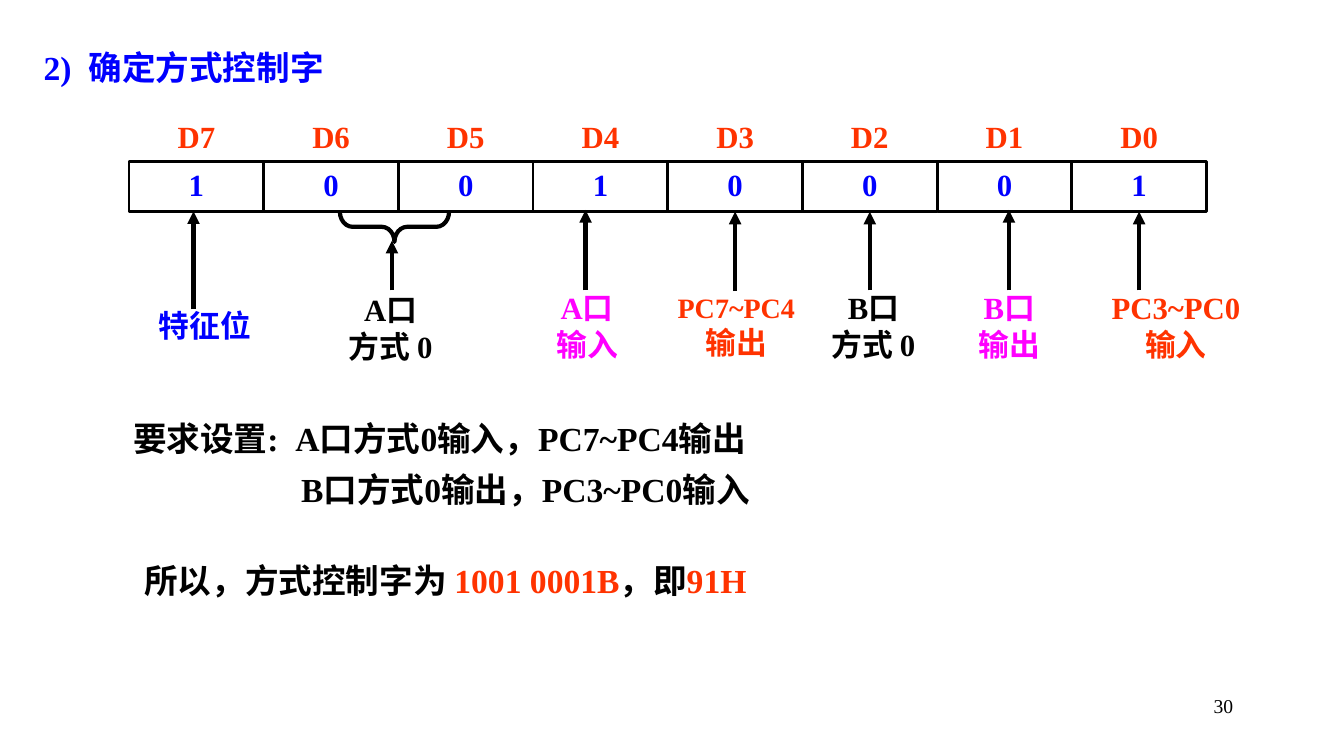
from dataclasses import dataclass

from lxml.etree import SubElement
from pptx import Presentation
from pptx.dml.color import RGBColor as RGB
from pptx.enum.shapes import MSO_CONNECTOR as CONN, MSO_SHAPE as SHAPE
from pptx.enum.text import MSO_ANCHOR as ANCHOR, MSO_AUTO_SIZE as FIT, PP_ALIGN as ALIGN
from pptx.oxml.ns import qn
from pptx.util import Pt


@dataclass(frozen=True)
class Theme:
    font: str = "Times New Roman"
    black: RGB = RGB(0x00, 0x00, 0x00)
    blue: RGB = RGB(0x00, 0x00, 0xFF)
    red: RGB = RGB(0xFF, 0x33, 0x00)
    pink: RGB = RGB(0xFF, 0x00, 0xFF)
    body: int = 24
    label: int = 22
    small: int = 20
    page: int = 14
    cell_line: float = 2
    arrow_line: float = 3


T = Theme()


def write(p, text, size=T.label, color=T.black, bold=True):
    r = p.add_run()
    r.text = text
    r.font.name = T.font
    r.font.size = Pt(size)
    r.font.bold = bold
    r.font.color.rgb = color


class Builder:
    def __init__(self, slide, theme):
        self.s, self.t = slide, theme

    def frame(self, sp, insets):
        tf = sp.text_frame
        tf.word_wrap = True
        tf.auto_size = FIT.NONE
        tf.vertical_anchor = ANCHOR.TOP
        tf.margin_left, tf.margin_top, tf.margin_right, tf.margin_bottom = map(Pt, insets)
        return tf

    def fill_text(self, sp, lines, insets=(7.2, 3.6, 7.2, 3.6), align=ALIGN.LEFT,
                  after=0, indents=(), **fmt):
        """Each line is a list of (text, format overrides) runs."""
        tf = self.frame(sp, insets)
        for i, runs in enumerate(lines):
            p = tf.paragraphs[0] if i == 0 else tf.add_paragraph()
            p.alignment = align
            p.space_before, p.space_after = Pt(0), Pt(after)
            if i < len(indents):
                p._p.get_or_add_pPr().set("marL", str(Pt(indents[i])))
            for text, own in runs:
                write(p, text, **{**fmt, **own})

    def title(self, box, text, **fmt):
        sp = self.s.shapes.title
        sp.left, sp.top, sp.width, sp.height = map(Pt, box)
        self.fill_text(sp, [[(text, {})]], **fmt)

    def text(self, box, lines, **fmt):
        self.fill_text(self.s.shapes.add_textbox(*map(Pt, box)), lines, **fmt)

    def shape(self, kind, box, weight):
        sp = self.s.shapes.add_shape(kind, *map(Pt, box))
        sp.shadow.inherit = False
        sp.fill.background()
        sp.line.color.rgb = self.t.black
        sp.line.width = Pt(weight)
        return sp

    def cell(self, box, bit):
        sp = self.shape(SHAPE.RECTANGLE, box, self.t.cell_line)
        self.fill_text(sp, [[(bit, {})]], insets=(0, 3, 0, 0), align=ALIGN.CENTER,
                       color=self.t.blue)
        return sp

    def brace(self, box):
        sp = self.shape(SHAPE.LEFT_BRACE, box, self.t.arrow_line)
        sp.adjustments[0], sp.adjustments[1] = 0.42, 0.5
        sp.rotation = 270

    def arrow(self, x, bottom, top, target=None):
        c = self.s.shapes.add_connector(CONN.STRAIGHT, Pt(x), Pt(bottom), Pt(x), Pt(top))
        if target is not None:
            c.end_connect(target, 2)
        c.line.color.rgb = self.t.black
        c.line.width = Pt(self.t.arrow_line)
        SubElement(c.line._get_or_add_ln(), qn("a:tailEnd"), type="triangle")
        SubElement(c._element.spPr, qn("a:effectLst"))


def main():
    prs = Presentation()
    prs.slide_width, prs.slide_height = Pt(960), Pt(540)
    b = Builder(prs.slides.add_slide(prs.slide_layouts[5]), T)

    b.title((24, 30, 312, 36), "2)  确定方式控制字", size=T.body, color=T.blue)
    b.text((688, 492, 200, 36), [[("30", {})]], align=ALIGN.RIGHT, size=T.page, bold=False)

    # Register row: bit names above the bit values
    left, top, width, height = 92.2, 115.2, 96.2, 36
    cells = []
    for i, bit in enumerate("10010001"):
        x = left + i * width
        cells.append(b.cell((x, top, width, height), bit))
        b.text((x, 78, width, 44), [[(f"D{7 - i}", {})]], insets=(0, 5.8, 0, 0),
               align=ALIGN.CENTER, color=T.red)

    # Brace under D6 and D5
    b.brace((271, 123, 21.6, 78))

    # Meaning of each field: arrow x (or joined cell), bottom, tip; label centre, top, lines
    pc_small = {"size": T.small}
    fields = [
        (138.2, None, 221, 151, 146.5, 219, T.blue, [("特征位", {})]),
        (280, None, 207.4, 172, 279, 207.4, T.black, [("A口", {}), ("方式 0", {})]),
        (418.3, None, 207.4, 150, 419.4, 206, T.pink, [("A口", {}), ("输入", {})]),
        (None, 4, 208, 151, 526, 207.4, T.red, [("PC7~PC4", pc_small), ("输出", {})]),
        (None, 5, 207.4, 151, 623.9, 206, T.black, [("B口", {}), ("方式 0", {})]),
        (720.7, None, 207.4, 150, 721, 206, T.pink, [("B口", {}), ("输出", {})]),
        (None, 7, 207.4, 151, 840, 206, T.red, [("PC3~PC0", {}), ("输入", {})]),
    ]
    label_w = 127.4
    for x, joined, bottom, tip, centre, label_top, color, lines in fields:
        target = None
        if joined is not None:
            target = cells[joined]
            x = left + (joined + 0.5) * width
        b.arrow(x, bottom, tip, target)
        b.text((centre - label_w / 2, label_top, label_w, 61), [[run] for run in lines],
               insets=(0, 0, 0, 0), align=ALIGN.CENTER, color=color)

    # Requirement and resulting control word
    b.text((88, 295.2, 664, 74),
           [[("要求设置:  A口方式0输入，PC7~PC4输出", {})],
            [("B口方式0输出，PC3~PC0输入", {})]],
           size=T.body, after=7.2, indents=(0, 120))
    red = {"color": T.red}
    b.text((96, 396.7, 650, 36),
           [[("所以，方式控制字为 ", {}), ("1001 0001B", red), ("，即", {}), ("91H", red)]],
           size=T.body)

    prs.save("out.pptx")


if __name__ == "__main__":
    main()
